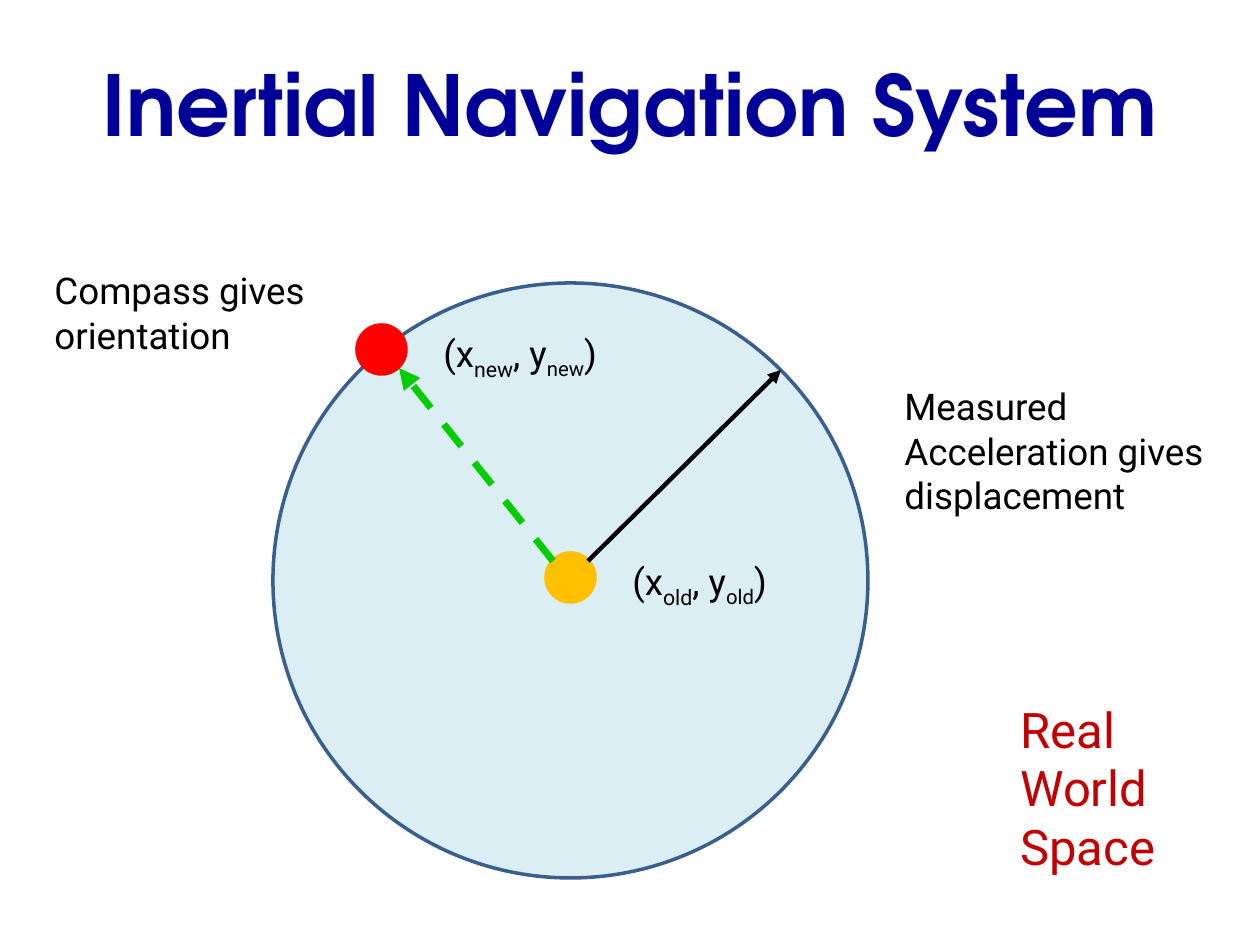
from pptx import Presentation
from pptx.dml.color import RGBColor
from pptx.enum.dml import MSO_LINE as Dash
from pptx.enum.shapes import MSO_CONNECTOR as Conn, MSO_SHAPE as Kind
from pptx.enum.text import MSO_ANCHOR as Anchor, MSO_AUTO_SIZE as Fit, PP_ALIGN as Align
from pptx.oxml.ns import qn
from pptx.util import Inches, Pt
from lxml.etree import SubElement

BODY = "Roboto"
HEAD = "TeX Gyre Adventor"
BLACK = "000000"
DOT = 49


def px(n):
    return round(n * Inches(1) / 126)


def color(code):
    return RGBColor.from_string(code)


def add_run(para, text, size, code, face=BODY, bold=False, sub=False):
    run = para.add_run()
    run.text = text
    font = run.font
    font.name, font.size, font.bold = face, Pt(size), bold
    font.color.rgb = color(code)
    if sub:
        run._r.get_or_add_rPr().set("baseline", "-25000")


def add_title(slide, text):
    title = slide.shapes.title
    title.left, title.top, title.width, title.height = map(px, (0, 38, 1260, 130))
    frame = title.text_frame
    frame.vertical_anchor = Anchor.MIDDLE
    para = frame.paragraphs[0]
    para.alignment = Align.CENTER
    add_run(para, text, 48, "000099", HEAD, bold=True)


def add_disc(slide, x, y, size, fill, edge):
    disc = slide.shapes.add_shape(Kind.OVAL, px(x), px(y), px(size), px(size))
    disc.shadow.inherit = False
    disc.fill.solid()
    disc.fill.fore_color.rgb = color(fill)
    disc.line.color.rgb = color(edge)
    disc.line.width = Pt(2)


def add_arrow(slide, start, end, code, width, dash=None):
    arrow = slide.shapes.add_connector(Conn.STRAIGHT, *map(px, start + end))
    line = arrow.line
    line.color.rgb = color(code)
    line.width = Pt(width)
    if dash:
        line.dash_style = dash
    SubElement(line._get_or_add_ln(), qn("a:tailEnd"), type="triangle")
    SubElement(arrow._element.spPr, qn("a:effectLst"))


def add_box(slide, x, y, w, h):
    """Add an empty text box and return its first paragraph."""
    frame = slide.shapes.add_textbox(px(x), px(y), px(w), px(h)).text_frame
    frame.word_wrap = True
    frame.auto_size = Fit.SHAPE_TO_FIT_TEXT
    return frame.paragraphs[0]


def add_note(slide, x, y, w, h, text, size=21, code=BLACK):
    add_run(add_box(slide, x, y, w, h), text, size, code)


def add_point(slide, x, y, name):
    """Label a position as (x, y) with the name as subscript."""
    para = add_box(slide, x, y, 336, 57)
    add_run(para, "(x", 21, BLACK)
    add_run(para, name, 21, BLACK, sub=True)
    add_run(para, ", y", 21, BLACK)
    add_run(para, name, 20, BLACK, sub=True)
    add_run(para, ")", 21, BLACK)


def main():
    deck = Presentation()
    deck.slide_width, deck.slide_height = px(1260), px(945)
    slide = deck.slides.add_slide(deck.slide_layouts[5])
    add_title(slide, "Inertial Navigation System")

    add_disc(slide, 273, 283, 595, "DBEEF4", "3A5F8C")
    add_note(slide, 892, 378, 336, 146, "Measured Acceleration gives displacement")
    add_point(slide, 620, 553, "old")
    add_note(slide, 1008, 693, 210, 190, "Real World Space", 28, "C00000")

    add_disc(slide, 546, 553, DOT, "FFC000", "FFC000")
    add_arrow(slide, (588, 561), (781, 370), BLACK, 2.5)
    add_arrow(slide, (553, 561), (399, 368), "00CC00", 4, Dash.DASH)
    add_disc(slide, 357, 325, DOT, "FF0000", "FF0000")
    add_point(slide, 431, 325, "new")
    add_note(slide, 42, 262, 346, 102, "Compass gives orientation")

    deck.save("out.pptx")


if __name__ == "__main__":
    main()
